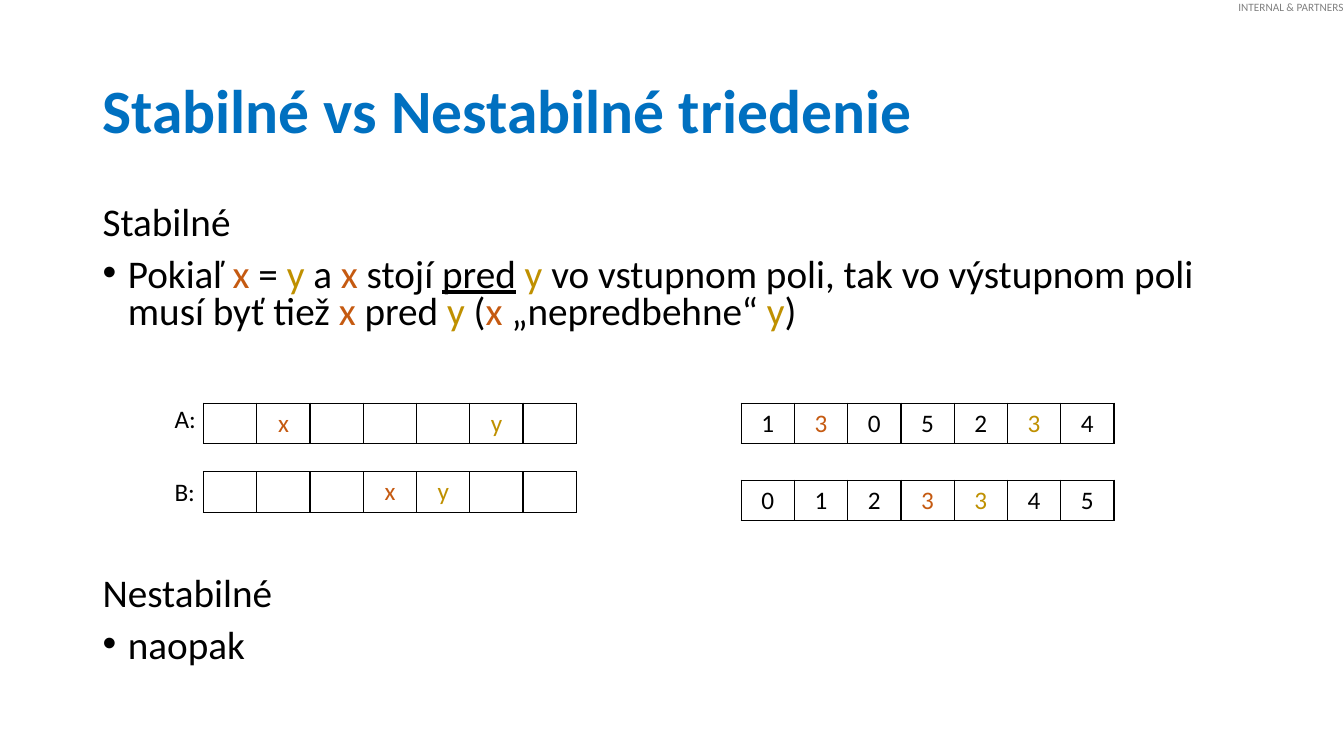
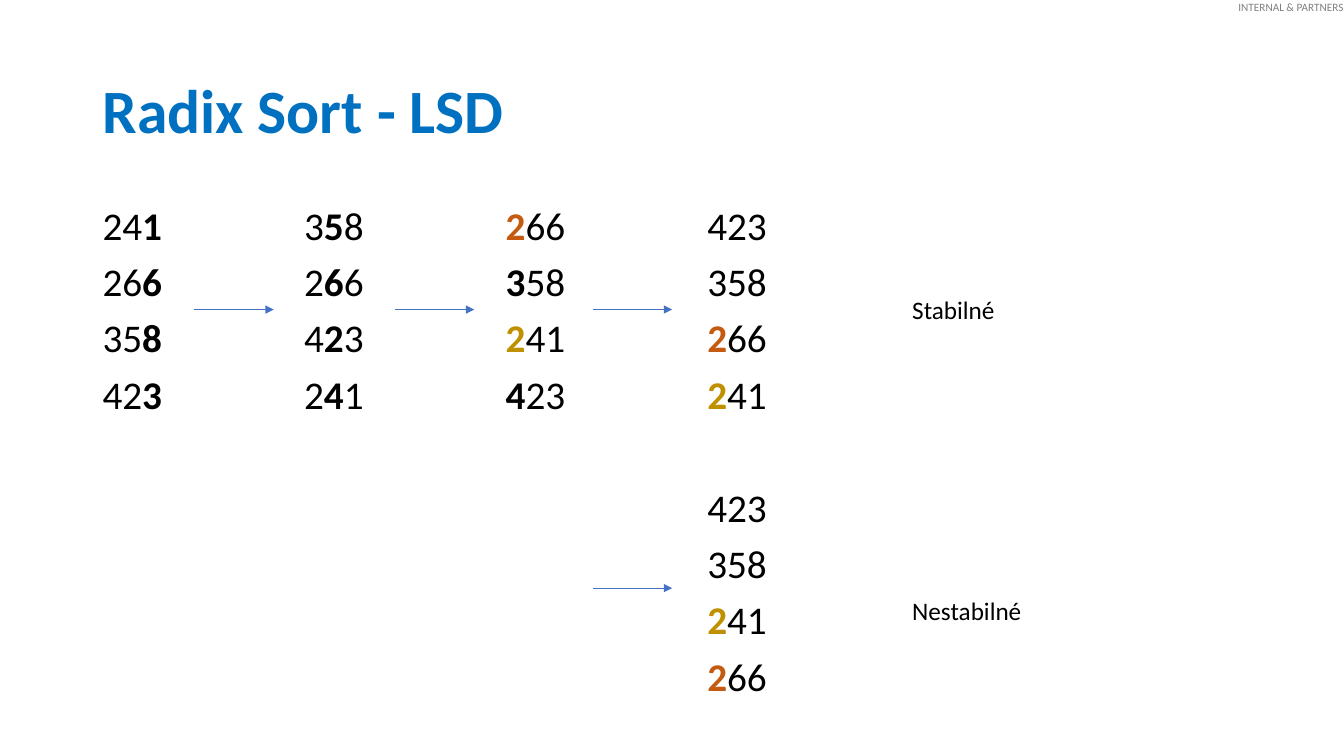
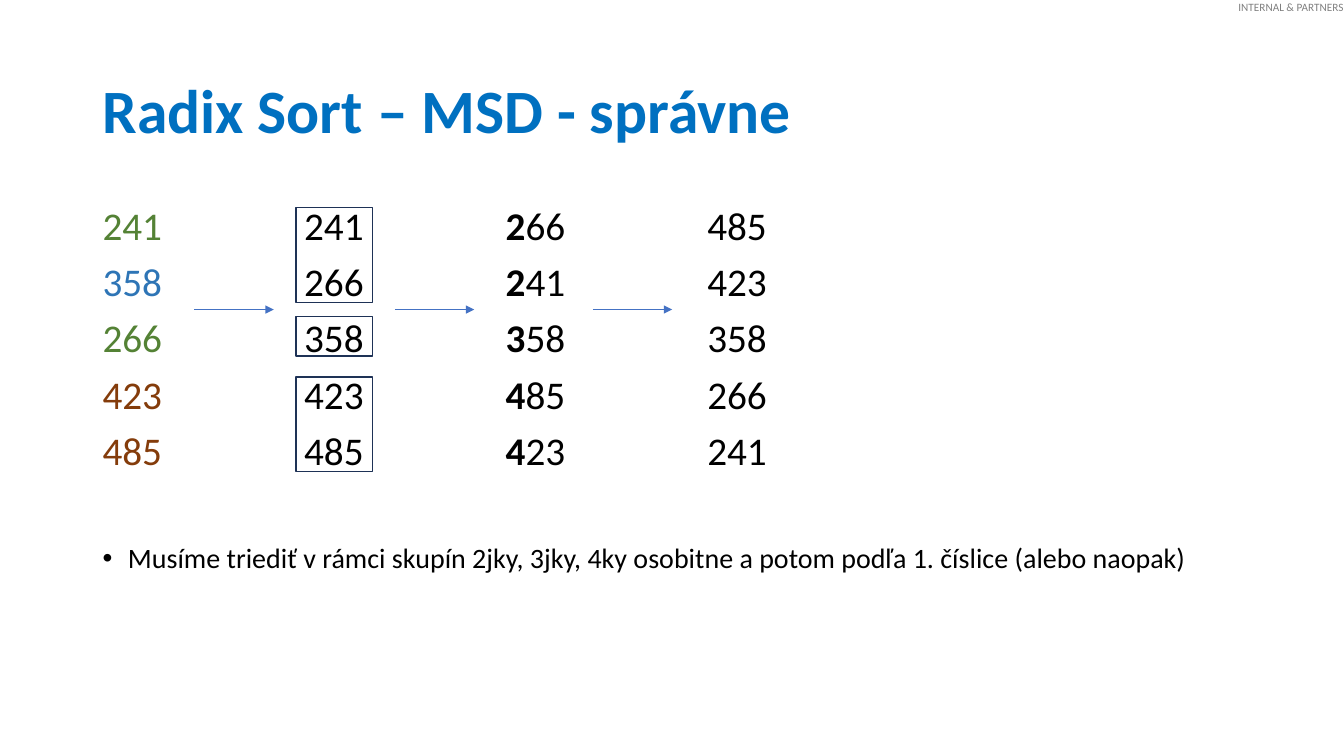
"""Builds three slides on stable sorting and radix sort."""
import lxml.etree
import pptx
import pptx.dml.color
import pptx.enum.shapes
import pptx.enum.text
import pptx.oxml.ns
import pptx.util

Cm = pptx.util.Cm
Pt = pptx.util.Pt
qn = pptx.oxml.ns.qn

FONT = "Calibri"
COLORS = {
    "title": "0070C0", "text": "000000", "label": "808080",
    "orange": "C55A11", "gold": "BF9000", "green": "548235",
    "blue": "2E75B6", "brown": "843C0B", "arrow": "4472C4", "box": "1E3256",
}
STYLES = {
    "x": {"color": "orange"}, "y": {"color": "gold"},
    "X": {"color": "orange", "bold": True}, "Y": {"color": "gold", "bold": True},
    "2": {"color": "green"}, "3": {"color": "blue"}, "4": {"color": "brown"},
    "b": {"bold": True}, "u": {"underline": True},
}
COLUMN_STEP = 5.08
ARRAY_W, ARRAY_H = 9.4, 1.02
ARROW_XS, ARROW_LEN, ARROW_Y = (4.9, 9.95, 14.94), 2, 7.8
GROUP_GAP = 50.4


def rgb(name):
    """Return the named colour."""
    return pptx.dml.color.RGBColor.from_string(COLORS[name])


def sub(parent, tag, **attrs):
    """Append a drawing element with attributes."""
    return lxml.etree.SubElement(parent, qn(tag), attrs)


def write(p, text, size=18, color="text", bold=False):
    """Fill a paragraph; every second part between bars is 'style:text'."""
    p.font.name, p.font.size, p.font.bold = FONT, Pt(size), bold
    p.font.color.rgb = rgb(color)
    for i, part in enumerate(text.split("|")):
        key, _, styled = part.partition(":")
        style = STYLES[key] if i % 2 else {}
        words = styled if i % 2 else part
        if not words:
            continue
        r = p.add_run()
        r.text = words
        if "color" in style:
            r.font.color.rgb = rgb(style["color"])
        if "bold" in style:
            r.font.bold = True
        if "underline" in style:
            r.font.underline = True


def add_label(s, text, x, y, w, size=18, color="text", h=1.02, margin=None):
    """Add a one-line text box."""
    box = s.shapes.add_textbox(Cm(x), Cm(y), Cm(w), Cm(h))
    tf = box.text_frame
    tf.word_wrap = margin is None
    if margin is not None:
        tf.margin_left = tf.margin_right = tf.margin_top = tf.margin_bottom = Cm(margin)
    write(tf.paragraphs[0], text, size, color)
    return box


def place(shape, x, y, w, h):
    """Move and size a shape in centimetres."""
    shape.left, shape.top, shape.width, shape.height = Cm(x), Cm(y), Cm(w), Cm(h)


def set_up_layout(layout):
    """Place the shared title and body areas."""
    title, body = layout.placeholders[0], layout.placeholders[1]
    place(title, 2.33, 1.01, 29.21, 3.68)
    place(body, 2.33, 5.07, 29.21, 12.95)


def add_slide(prs, title):
    """Add a slide with its formatted title."""
    s = prs.slides.add_slide(prs.slide_layouts[1])
    tf = s.shapes.title.text_frame
    tf.auto_size = pptx.enum.text.MSO_AUTO_SIZE.NONE
    tf.vertical_anchor = pptx.enum.text.MSO_ANCHOR.MIDDLE
    p = tf.paragraphs[0]
    p.alignment = pptx.enum.text.PP_ALIGN.LEFT
    p.line_spacing = 0.9
    write(p, title, 44, "title", True)
    return s


def fill_body(s, lines, spacing=0.9):
    """Write (text, bullet, space before, size) lines in the body."""
    tf = s.placeholders[1].text_frame
    tf.auto_size = pptx.enum.text.MSO_AUTO_SIZE.NONE
    for i, (text, bullet, before, size) in enumerate(lines):
        p = tf.add_paragraph() if i else tf.paragraphs[0]
        pPr = p._p.get_or_add_pPr()
        indent = Cm(0.64) if bullet else 0
        pPr.set("marL", str(indent))
        pPr.set("indent", str(-indent))
        pPr.set("defTabSz", str(Cm(COLUMN_STEP)))
        if bullet:
            sub(pPr, "a:buFont", typeface="Arial")
            sub(pPr, "a:buChar", char="•")
        else:
            sub(pPr, "a:buNone")
        p.line_spacing = spacing
        p.space_before = Pt(before)
        write(p, text, size)


def plain(text, before=10):
    """Describe a body line without a bullet."""
    return text, False, before, 28


def bulleted(text, before=10, size=28):
    """Describe a body line with a bullet."""
    return text, True, before, size


def add_array(s, x, y, values):
    """Draw an array as a one-row table with thin borders."""
    n = len(values)
    table = s.shapes.add_table(1, n, Cm(x), Cm(y), Cm(ARRAY_W), Cm(ARRAY_H)).table
    table.first_row = table.horz_banding = False
    for column, value in enumerate(values):
        table.columns[column].width = Cm(ARRAY_W / n)
        cell = table.cell(0, column)
        cell.fill.background()
        p = cell.text_frame.paragraphs[0]
        p.alignment = pptx.enum.text.PP_ALIGN.CENTER
        write(p, value)
        tcPr = cell._tc.get_or_add_tcPr()
        for i, side in enumerate(("a:lnL", "a:lnR", "a:lnT", "a:lnB")):
            ln = sub(tcPr, side, w=str(Pt(1)))
            sub(sub(ln, "a:solidFill"), "a:srgbClr", val=COLORS["text"])
            tcPr.insert(i, ln)


def add_arrow(s, x, y=ARROW_Y):
    """Draw a horizontal arrow to the right."""
    line = s.shapes.add_connector(
        pptx.enum.shapes.MSO_CONNECTOR.STRAIGHT, Cm(x), Cm(y), Cm(x + ARROW_LEN), Cm(y))
    line.line.color.rgb = rgb("arrow")
    line.line.width = Pt(0.5)
    sub(line.line._get_or_add_ln(), "a:tailEnd", type="triangle")
    sub(line._element.spPr, "a:effectLst")


def add_group_box(s, y, h):
    """Outline a group of numbers in the second column."""
    box = s.shapes.add_shape(
        pptx.enum.shapes.MSO_SHAPE.RECTANGLE, Cm(7.46), Cm(y), Cm(1.93), Cm(h))
    box.shadow.inherit = False
    box.fill.background()
    box.line.color.rgb = rgb("box")
    box.line.width = Pt(1)


def stability_slide(prs):
    """Define stable and unstable sorting."""
    s = add_slide(prs, "Stabilné vs Nestabilné triedenie")
    fill_body(s, [
        plain("Stabilné"),
        bulleted("Pokiaľ |x:x| = |y:y| a |x:x| stojí |u:pred| |y:y| vo vstupnom poli, "
                 "tak vo výstupnom poli musí byť tiež |x:x| pred |y:y| "
                 "(|x:x| „nepredbehne“ |y:y|)"),
        plain("Nestabilné", 174.3),
        bulleted("naopak"),
    ], 0.8)
    add_label(s, "A:", 4.15, 10.03, 1.45)
    add_label(s, "B:", 4.15, 11.89, 1.45)
    x, y, three_x, three_y = "|x:x|", "|y:y|", "|x:3|", "|y:3|"
    add_array(s, 5.13, 10.16, ["", x, "", "", "", y, ""])
    add_array(s, 5.13, 11.89, ["", "", "", x, y, "", ""])
    add_array(s, 18.68, 10.16, ["1", three_x, "0", "5", "2", three_y, "4"])
    add_array(s, 18.68, 12.1, ["0", "1", "2", three_x, three_y, "4", "5"])
    return s


def lsd_slide(prs):
    """Show radix sort from the last digit."""
    s = add_slide(prs, "Radix Sort - LSD")
    fill_body(s, [
        plain("24|b:1|\t3|b:5|8\t|X:2|66\t423"),
        plain("26|b:6|\t2|b:6|6\t|b:3|58\t358"),
        plain("35|b:8|\t4|b:2|3\t|Y:2|41\t|X:2|66"),
        plain("42|b:3|\t2|b:4|1\t|b:4|23\t|Y:2|41"),
        plain("\t\t\t423", GROUP_GAP),
        plain("\t\t\t358"),
        plain("\t\t\t|Y:2|41"),
        plain("\t\t\t|X:2|66"),
    ])
    for x in ARROW_XS:
        add_arrow(s, x)
    add_arrow(s, ARROW_XS[-1], 14.82)
    add_label(s, "Stabilné", 22.74, 7.29, 6.1)
    add_label(s, "Nestabilné", 22.74, 14.87, 6.1)


def msd_slide(prs):
    """Show radix sort from the first digit, by groups."""
    s = add_slide(prs, "Radix Sort – MSD - správne")
    fill_body(s, [
        plain("|2:241|\t241\t|b:2|66\t485"),
        plain("|3:358|\t266\t|b:2|41\t423"),
        plain("|2:266|\t358\t|b:3|58\t358"),
        plain("|4:423|\t423\t|b:4|85\t266"),
        plain("|4:485|\t485\t|b:4|23\t241"),
        bulleted("Musíme triediť v rámci skupín 2jky, 3jky, 4ky osobitne "
                 "a potom podľa 1. číslice (alebo naopak)", GROUP_GAP, 20),
    ])
    for x in ARROW_XS:
        add_arrow(s, x)
    for y, h in ((5.23, 2.39), (7.98, 0.99), (9.5, 2.39)):
        add_group_box(s, y, h)


def main():
    """Build and save the presentation."""
    prs = pptx.Presentation()
    prs.slide_width, prs.slide_height = Cm(33.87), Cm(19.05)
    layout = prs.slide_layouts[1]
    set_up_layout(layout)
    s = stability_slide(prs)
    label = add_label(s, "INTERNAL & PARTNERS", 31.21, 0, 2.66, 8, "label", 0.33, 0)
    layout.shapes.element.append(label.element)
    lsd_slide(prs)
    msd_slide(prs)
    prs.save("out.pptx")


if __name__ == "__main__":
    main()
